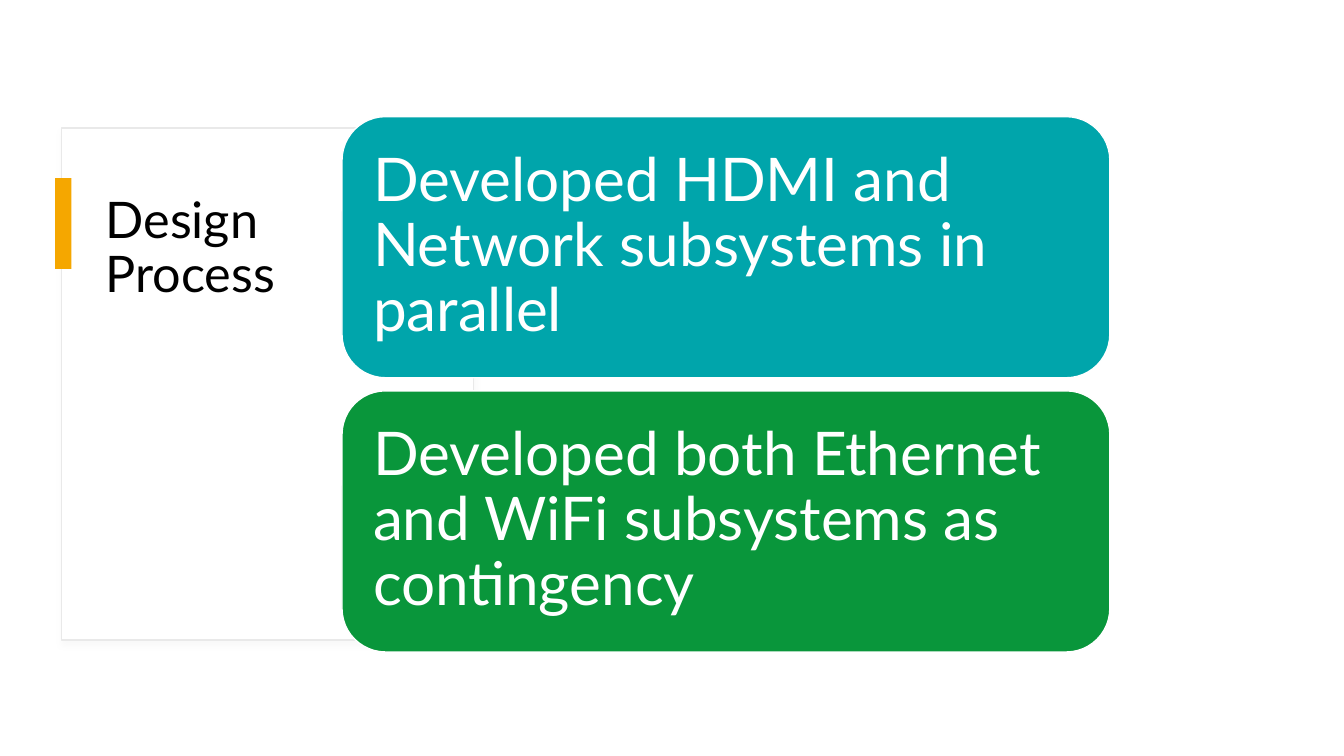
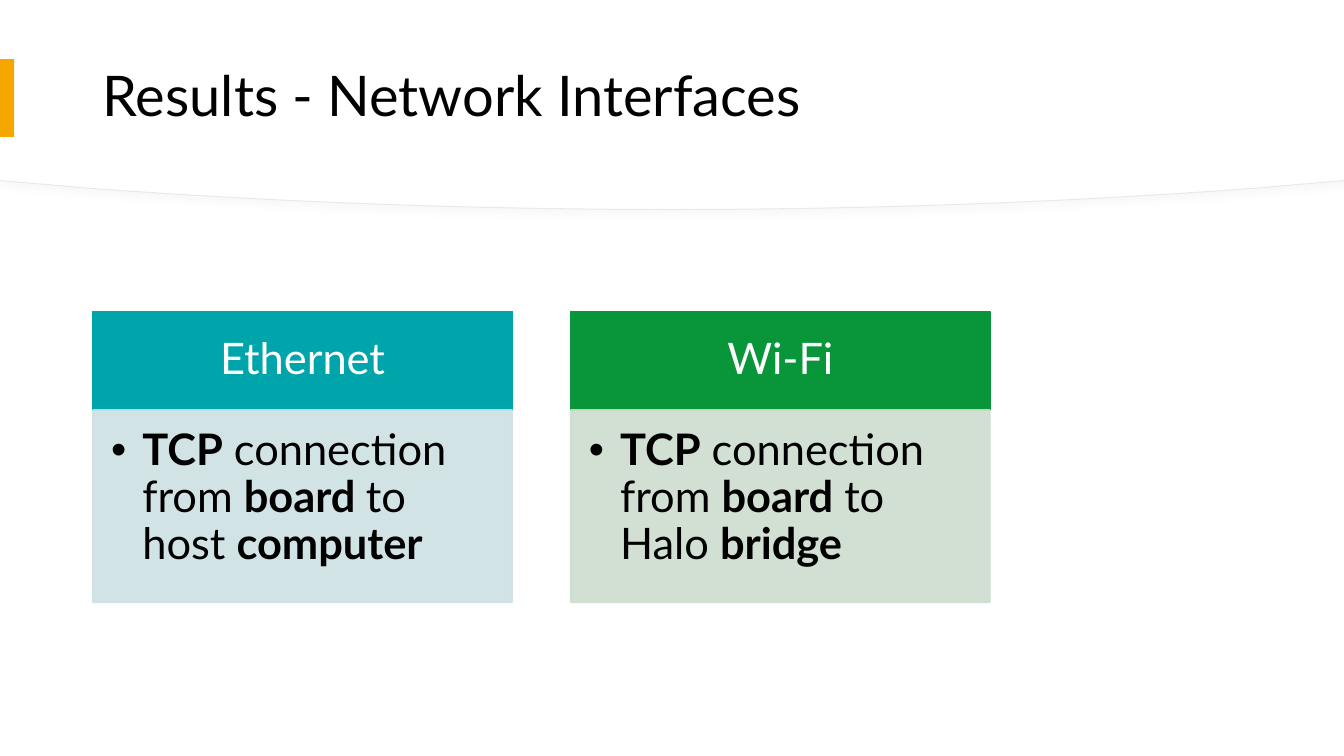
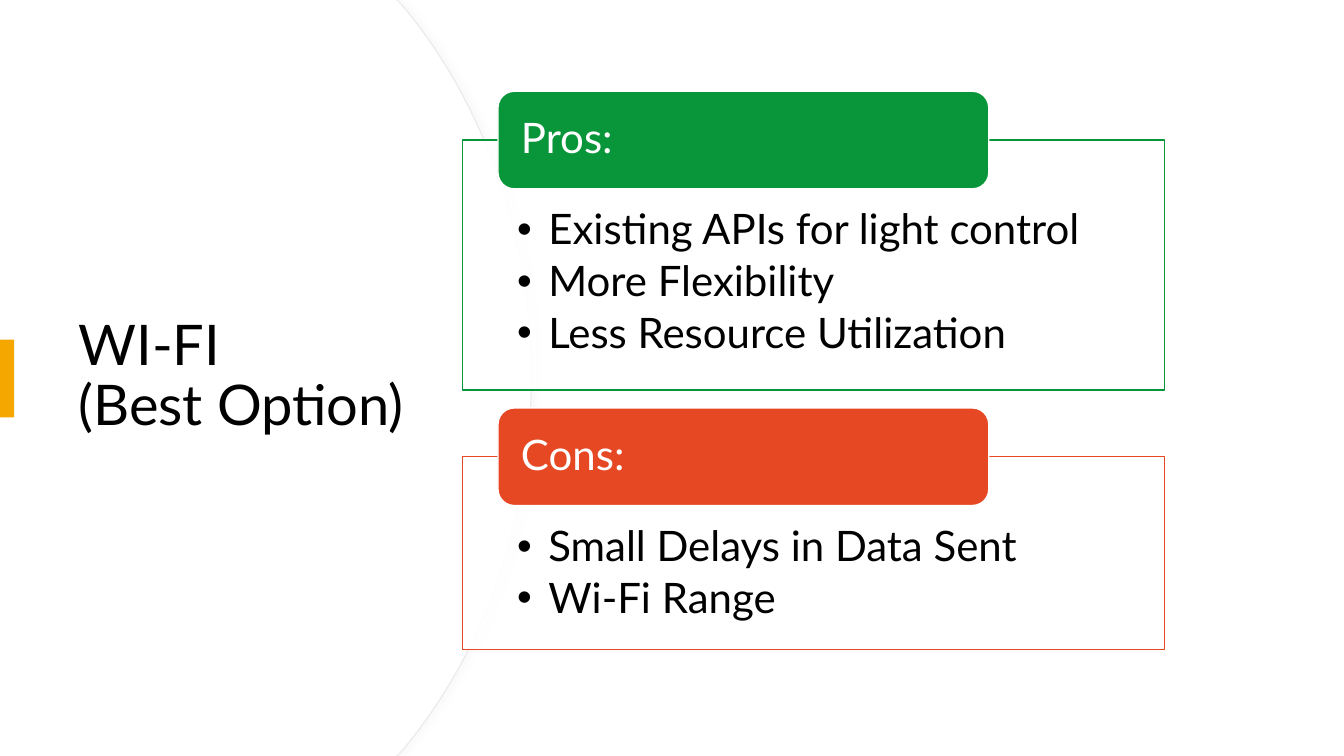
from dataclasses import dataclass
from typing import Any

from lxml.etree import SubElement
from pptx import Presentation
from pptx.dml.color import RGBColor
from pptx.enum.shapes import MSO_SHAPE
from pptx.enum.text import MSO_ANCHOR, PP_ALIGN
from pptx.oxml.ns import qn
from pptx.util import Cm, Pt

Point = tuple[float, float]

WIDTH, HEIGHT = 33.87, 19.05
FONT = "Lato"
WHITE, BLACK, RULE, SHADE = "FFFFFF", "000000", "E9E9E9", "D9D9D9"
AMBER, TEAL, GREEN, RED = "F5A700", "00A5AB", "09963B", "E64823"
PALE_TEAL, PALE_GREEN = "CCE1E2", "CCDDCE"
RECT, ROUND = MSO_SHAPE.RECTANGLE, MSO_SHAPE.ROUNDED_RECTANGLE


@dataclass(frozen=True)
class TextStyle:
    size: float
    color: str = BLACK
    align: PP_ALIGN = PP_ALIGN.LEFT
    anchor: MSO_ANCHOR = MSO_ANCHOR.TOP
    insets: tuple[float, float, float, float] = (0.25, 0.13, 0.25, 0.13)
    bullets: bool = False


@dataclass(frozen=True)
class Box:
    left: float
    top: float
    width: float
    height: float
    fill: str = WHITE
    line: str | None = None
    line_width: float = 1
    kind: MSO_SHAPE = RECT
    alpha: int = 100
    lines: tuple[str, ...] = ()
    style: TextStyle | None = None


@dataclass(frozen=True)
class ProcessCard:
    text: str
    color: str


@dataclass(frozen=True)
class Interface:
    name: str
    result: str
    color: str
    pale: str


@dataclass(frozen=True)
class Verdict:
    name: str
    points: tuple[str, ...]
    color: str
    top: float
    height: float


CARD = TextStyle(43, WHITE, anchor=MSO_ANCHOR.MIDDLE, insets=(0.46,) * 4)
HEADING = TextStyle(31, WHITE, PP_ALIGN.CENTER, MSO_ANCHOR.MIDDLE, (0.61, 0.36, 0.61, 0.36))
RESULT = TextStyle(31, insets=(0.46, 0.46, 0.61, 0.69), bullets=True)
TAB = TextStyle(30, WHITE, anchor=MSO_ANCHOR.MIDDLE, insets=(0.46, 0, 0.46, 0))
POINTS = TextStyle(30, insets=(1.37, 1.73, 1.37, 0.58), bullets=True)

CARDS = (
    ProcessCard("Developed HDMI and Network subsystems in parallel", TEAL),
    ProcessCard("Developed both Ethernet and WiFi subsystems as contingency", GREEN),
)
INTERFACES = (
    Interface("Ethernet", "*TCP* connection from *board *to host *computer*", TEAL, PALE_TEAL),
    Interface("Wi-Fi", "*TCP* connection from *board* to Halo *bridge*", GREEN, PALE_GREEN),
)
VERDICTS = (
    Verdict("Pros:", ("Existing APIs for light control", "More Flexibility",
                      "Less Resource Utilization"), GREEN, 3.53, 6.3),
    Verdict("Cons:", ("Small Delays in Data Sent", "Wi-Fi Range"), RED, 11.51, 4.86),
)


def rgb(value: str) -> RGBColor:
    return RGBColor.from_string(value)


def apply(target: Any, values: dict[str, Any]) -> None:
    for name, value in values.items():
        setattr(target, name, value)


def paint(sp: Any, fill: str, line: str | None, width: float = 1, alpha: int = 100) -> None:
    sp.shadow.inherit = False
    sp.fill.solid()
    sp.fill.fore_color.rgb = rgb(fill)
    if line:
        sp.line.color.rgb = rgb(line)
        sp.line.width = Pt(width)
    else:
        sp.line.fill.background()
    if alpha < 100:
        paths = ["a:solidFill/a:srgbClr"]
        if line == fill:
            paths.append("a:ln/a:solidFill/a:srgbClr")
        for color in (c for path in paths for c in sp._element.spPr.xpath(path)):
            SubElement(color, qn("a:alpha"), val=str(alpha * 1000))


def cast_shadow(sp: Any, angle: int) -> None:
    effects = sp._element.spPr.find(qn("a:effectLst"))
    shadow = SubElement(effects, qn("a:outerShdw"), blurRad=str(Pt(4)), dist=str(Pt(3)),
                        dir=str(angle * 60000), algn="tl", rotWithShape="0")
    color = SubElement(shadow, qn("a:srgbClr"), val=SHADE)
    SubElement(color, qn("a:alpha"), val="15000")


def write(sp: Any, lines: tuple[str, ...], style: TextStyle) -> None:
    tf = sp.text_frame
    left, top, right, bottom = (Cm(inset) for inset in style.insets)
    apply(tf, dict(word_wrap=True, vertical_anchor=style.anchor, margin_left=left,
                   margin_top=top, margin_right=right, margin_bottom=bottom))
    for i, line in enumerate(lines):
        p = tf.add_paragraph() if i else tf.paragraphs[0]
        apply(p, dict(alignment=style.align, line_spacing=0.9))
        if style.bullets:
            p.space_after = Pt(style.size * 0.15)
            pPr = p._p.get_or_add_pPr()
            pPr.set("marL", str(Cm(0.79)))
            pPr.set("indent", str(-Cm(0.79)))
            SubElement(pPr, qn("a:buFont"), typeface="Arial")
            SubElement(pPr, qn("a:buChar"), char="•")
        for j, part in enumerate(line.split("*")):
            for k, piece in enumerate(part.split("\n")):
                if k:
                    p.add_line_break()
                if piece:
                    r = p.add_run()
                    r.text = piece
                    apply(r.font, dict(name=FONT, size=Pt(style.size), bold=j % 2 == 1))
                    r.font.color.rgb = rgb(style.color)


def add_box(s: Any, box: Box) -> Any:
    sp = s.shapes.add_shape(box.kind, Cm(box.left), Cm(box.top), Cm(box.width), Cm(box.height))
    paint(sp, box.fill, box.line, box.line_width, box.alpha)
    if box.style:
        write(sp, box.lines, box.style)
    return sp


def add_title(s: Any, text: str, left: float, top: float, width: float, height: float,
              style: TextStyle, accent: Box) -> None:
    write(s.shapes.add_textbox(Cm(left), Cm(top), Cm(width), Cm(height)), (text,), style)
    add_box(s, accent)


def bend(sp: Any, start: int) -> None:
    segments = sp._element.spPr.xpath(".//a:lnTo")[start:start + 6]
    for first, second, third in (segments[:3], segments[3:]):
        first.tag = qn("a:cubicBezTo")
        for segment in (second, third):
            first.append(segment[0])
            segment.getparent().remove(segment)


def add_curved_panel(s: Any, half: list[Point], mirrored: list[Point], inset: Point,
                     angle: int) -> None:
    dx, dy = inset
    outline = half + mirrored[1:]
    inner = [(max(0, x - dx), max(0, y - dy)) for x, y in outline]
    for points, line in ((outline, RULE), (inner, None)):
        first, *rest = [(Cm(x), Cm(y)) for x, y in points]
        builder = s.shapes.build_freeform(*first)
        builder.add_line_segments(rest, close=True)
        sp = builder.convert_to_shape()
        bend(sp, len(half) - 4)
        paint(sp, WHITE, line, 0.75)
        if line:
            cast_shadow(sp, angle)


def build_process(s: Any) -> None:
    frame = add_box(s, Box(1.55, 3.23, 10.39, 12.9, line=RULE))
    cast_shadow(frame, 90)
    add_title(s, "Design Process", 2.41, 4.78, 8.61, 9.78, TextStyle(36),
              Box(1.39, 4.49, 0.41, 2.29, AMBER))
    for i, card in enumerate(CARDS):
        add_box(s, Box(8.62, 2.94 + i * 6.91, 19.35, 6.58, card.color, WHITE, kind=ROUND,
                       lines=(card.text,), style=CARD))


def build_interfaces(s: Any) -> None:
    right = [(WIDTH, 0), (WIDTH, 4.55), (31.55, 4.75),
             (27.05, 5.08), (22.12, 5.28), (WIDTH / 2, 5.28)]
    left = [(WIDTH - x, y) for x, y in reversed(right)]
    add_curved_panel(s, right, left, (0, 0.03), 90)
    add_title(s, "Results - Network Interfaces", 2.34, 0.71, 29.21, 3.53,
              TextStyle(40, anchor=MSO_ANCHOR.MIDDLE), Box(0, 1.49, 0.36, 1.96, AMBER))
    for i, item in enumerate(INTERFACES):
        x = 2.34 + i * 12.04
        add_box(s, Box(x, 7.85, 10.57, 2.48, item.color, item.color,
                       lines=(item.name,), style=HEADING))
        add_box(s, Box(x, 10.33, 10.57, 4.85, item.pale, item.pale, alpha=90,
                       lines=(item.result,), style=RESULT))


def build_verdict(s: Any) -> None:
    upper = [(0, 0), (10.01, 0), (10.19, 0.2),
             (12.17, 2.59), (13.39, 5.89), (13.39, HEIGHT / 2)]
    lower = [(x, HEIGHT - y) for x, y in reversed(upper)]
    add_curved_panel(s, upper, lower, (0.03, 0), 0)
    add_title(s, "WI-FI \n(Best Option)", 1.73, 3.23, 10.01, 12.57,
              TextStyle(40, anchor=MSO_ANCHOR.MIDDLE), Box(0, 8.56, 0.36, 1.96, AMBER))
    for item in VERDICTS:
        add_box(s, Box(11.66, item.top, 17.69, item.height, WHITE, item.color, alpha=90,
                       lines=item.points, style=POINTS))
        add_box(s, Box(12.55, item.top - 1.23, 12.37, 2.46, item.color, WHITE, kind=ROUND,
                       lines=(item.name,), style=TAB))


def main() -> None:
    prs = Presentation()
    apply(prs, dict(slide_width=Cm(WIDTH), slide_height=Cm(HEIGHT)))
    for build in (build_process, build_interfaces, build_verdict):
        build(prs.slides.add_slide(prs.slide_layouts[6]))
    prs.save("out.pptx")


main()
